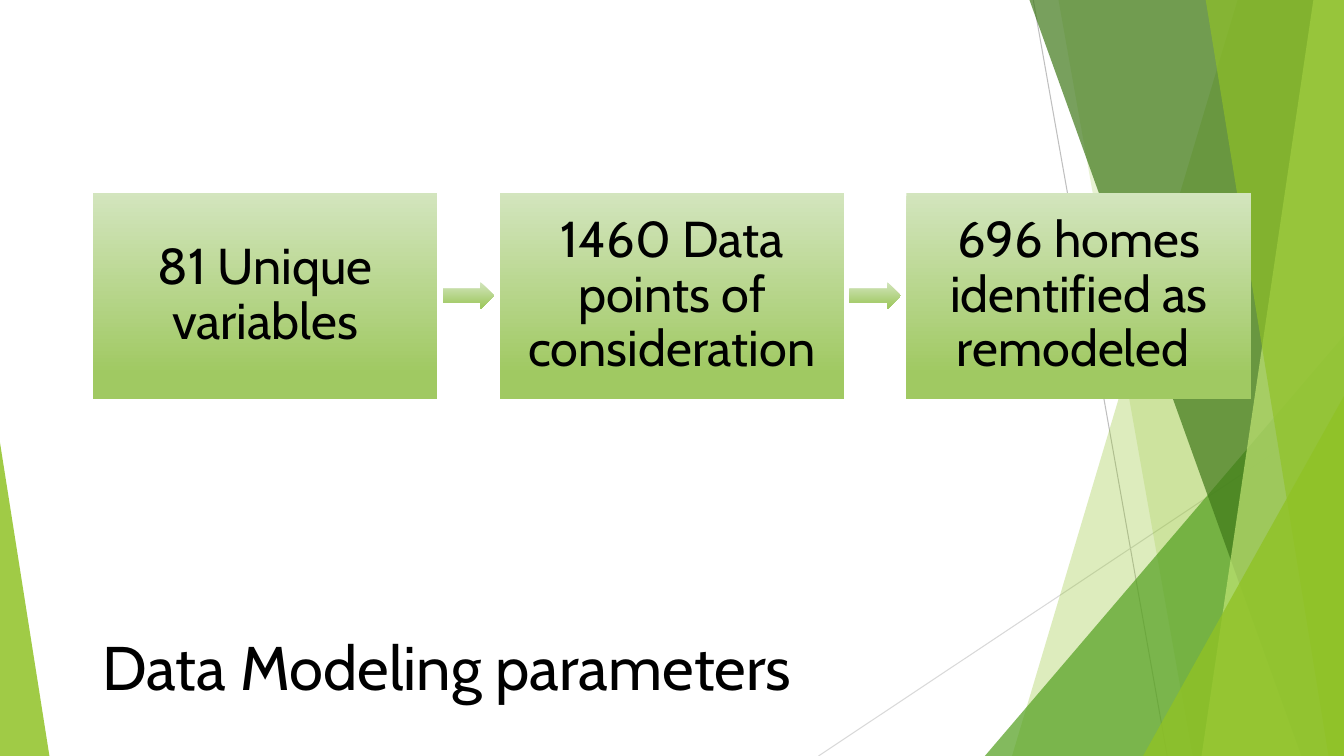
from dataclasses import dataclass

from lxml import etree
from pptx import Presentation, util as u
from pptx.dml.color import RGBColor
from pptx.enum import shapes, text
from pptx.oxml import ns


@dataclass(frozen=True)
class Theme:
    font: str = "Cabin"
    title_size: float = 44
    step_size: float = 36
    title_gap: float = 6
    step_gap: float = 12.6
    line_spacing: float = 0.9
    line_width: float = 0.75
    ink: str = "000000"
    lime: str = "90C226"
    pale_lime: str = "C0E474"
    green: str = "54A021"
    dark_green: str = "3F7819"
    light_grey: str = "D9D9D9"
    grey: str = "BFBFBF"
    gradient: tuple[tuple[float, str], ...] = ((0, "D3E5BE"), (0.88, "A0C962"))


@dataclass(frozen=True)
class Box:
    left: float
    top: float
    width: float
    height: float

    def emu(self) -> tuple[int, int, int, int]:
        return (across(self.left), down(self.top),
                across(self.width), down(self.height))


@dataclass(frozen=True)
class Ray:
    start: tuple[float, float]
    end: tuple[float, float]
    colour: str


@dataclass(frozen=True)
class Band:
    top_left: float
    bottom_left: float
    colour: str
    opacity: int


@dataclass(frozen=True)
class Wedge:
    box: Box
    apex: float
    colour: str
    opacity: int


THEME = Theme()
WIDTH, HEIGHT = u.Inches(13.33), u.Inches(7.5)
BLEED = -0.1
MARGIN = 6.9
STEP_PITCH = 30.27
STEP_TOP, STEP_WIDTH, STEP_HEIGHT = 25.47, 25.65, 27.33
ARROW_OFFSET, ARROW_WIDTH, ARROW_HEIGHT = 26.03, 3.83, 3.6
ARROW_TOP = STEP_TOP + (STEP_HEIGHT - ARROW_HEIGHT) / 2
TITLE = Box(MARGIN, 80.67, 63.3, 16)

RAYS = (
    Ray((76.88, 0), (86.85, 100), THEME.grey),
    Ray((100, 53.73), (60.9, 100), THEME.light_grey),
)
FACETS: tuple[Band | Wedge, ...] = (
    Band(92.1, 75.3, THEME.lime, 30),
    Band(78.75, 88.73, THEME.lime, 20),
    Wedge(Box(73.28, 44.4, 26.72, 55.6), 1, THEME.green, 72),
    Band(76.58, 96.83, THEME.dark_green, 70),
    Band(97.73, 89.4, THEME.pale_lime, 70),
    Band(89.7, 98.85, THEME.lime, 65),
    Wedge(Box(85.05, 52.4, 14.95, 47.6), 1, THEME.lime, 80),
    Wedge(Box(0, 58.53, 3.68, 41.47), 0, THEME.lime, 85),
)
STEPS = (
    "81 Unique variables",
    "1460 Data points of consideration",
    "696 homes identified as remodeled ",
)


def across(share: float) -> int:
    return round(WIDTH * share / 100)


def down(share: float) -> int:
    return round(HEIGHT * share / 100)


def draw_ray(slide, ray: Ray) -> None:
    connector = slide.shapes.add_connector(
        shapes.MSO_CONNECTOR.STRAIGHT,
        across(ray.start[0]), down(ray.start[1]),
        across(ray.end[0]), down(ray.end[1]))
    connector.line.color.rgb = RGBColor.from_string(ray.colour)
    connector.line.width = u.Pt(THEME.line_width)
    etree.SubElement(connector._element.spPr, ns.qn("a:effectLst"))


def draw_facet(slide, facet: Band | Wedge) -> None:
    if isinstance(facet, Band):
        builder = slide.shapes.build_freeform(
            across(facet.top_left), down(BLEED))
        builder.add_line_segments([
            (across(100), down(BLEED)),
            (across(100), down(100)),
            (across(facet.bottom_left), down(100)),
        ], close=True)
        shape = builder.convert_to_shape()
    else:
        shape = slide.shapes.add_shape(
            shapes.MSO_SHAPE.ISOSCELES_TRIANGLE, *facet.box.emu())
        shape.adjustments[0] = facet.apex
    shape.shadow.inherit = False
    shape.line.fill.background()
    shape.fill.solid()
    shape.fill.fore_color.rgb = RGBColor.from_string(facet.colour)
    colour = shape._element.spPr.find(".//" + ns.qn("a:srgbClr"))
    alpha = etree.SubElement(colour, ns.qn("a:alpha"))
    alpha.set("val", str(facet.opacity * 1000))


def draw_gradient_shape(slide, kind: shapes.MSO_SHAPE, box: Box):
    shape = slide.shapes.add_shape(kind, *box.emu())
    shape.shadow.inherit = False
    shape.line.fill.background()
    shape.fill.gradient()
    shape.fill.gradient_angle = 270
    for stop, (position, colour) in zip(shape.fill.gradient_stops,
                                        THEME.gradient):
        stop.position = position
        stop.color.rgb = RGBColor.from_string(colour)
    return shape


def write(shape, words: str, size: float, gap: float,
          alignment: text.PP_ALIGN) -> None:
    frame = shape.text_frame
    frame.word_wrap = True
    frame.vertical_anchor = text.MSO_ANCHOR.MIDDLE
    paragraph = frame.paragraphs[0]
    paragraph.alignment = alignment
    paragraph.line_spacing = THEME.line_spacing
    paragraph.space_after = u.Pt(gap)
    run = paragraph.add_run()
    run.text = words
    run.font.name = THEME.font
    run.font.size = u.Pt(size)
    run.font.color.rgb = RGBColor.from_string(THEME.ink)


def draw_step(slide, index: int, words: str) -> None:
    left = MARGIN + index * STEP_PITCH
    shape = draw_gradient_shape(
        slide, shapes.MSO_SHAPE.RECTANGLE,
        Box(left, STEP_TOP, STEP_WIDTH, STEP_HEIGHT))
    frame = shape.text_frame
    frame.margin_left = frame.margin_right = u.Inches(0.17)
    frame.margin_top = frame.margin_bottom = u.Inches(0.17)
    write(shape, words, THEME.step_size, THEME.step_gap, text.PP_ALIGN.CENTER)
    if index < len(STEPS) - 1:
        draw_gradient_shape(
            slide, shapes.MSO_SHAPE.RIGHT_ARROW,
            Box(left + ARROW_OFFSET, ARROW_TOP, ARROW_WIDTH, ARROW_HEIGHT))


def main() -> None:
    presentation = Presentation()
    presentation.slide_width, presentation.slide_height = WIDTH, HEIGHT
    slide = presentation.slides.add_slide(presentation.slide_layouts[6])
    for ray in RAYS:
        draw_ray(slide, ray)
    for facet in FACETS:
        draw_facet(slide, facet)
    title = slide.shapes.add_textbox(*TITLE.emu())
    write(title, "Data Modeling parameters", THEME.title_size,
          THEME.title_gap, text.PP_ALIGN.LEFT)
    for index, words in enumerate(STEPS):
        draw_step(slide, index, words)
    presentation.save("out.pptx")


if __name__ == "__main__":
    main()
